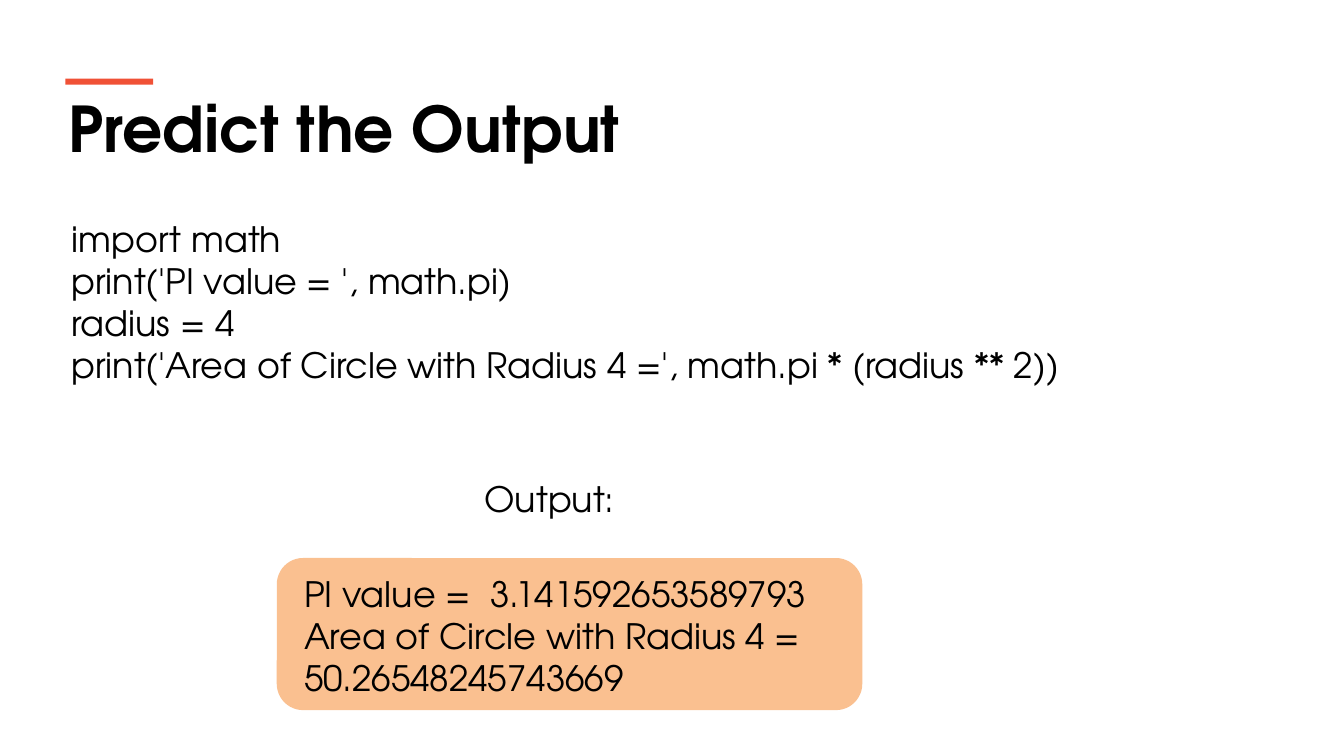
from pptx import Presentation
from pptx.dml.color import RGBColor
from pptx.enum import shapes
from pptx.util import Pt

FONT = "TeX Gyre Adventor"


def color(hex_value):
    return RGBColor.from_string(hex_value)


def add_text(content, left, top, width, height, size=25, bold=False):
    box = slide.shapes.add_textbox(Pt(left), Pt(top), Pt(width), Pt(height))
    frame = box.text_frame
    frame.word_wrap = True
    frame.text = content
    for paragraph in frame.paragraphs:
        font = paragraph.runs[0].font
        font.name = FONT
        font.size = Pt(size)
        font.bold = bold
        font.color.rgb = color("000000")


presentation = Presentation()
presentation.slide_width = Pt(960)
presentation.slide_height = Pt(540)
slide = presentation.slides.add_slide(presentation.slide_layouts[6])

# Title with accent bar
add_text("Predict the Output", 41.8, 60.5, 877, 62, size=45, bold=True)
accent_bar = slide.shapes.add_shape(
    shapes.MSO_SHAPE.RECTANGLE, Pt(46.8), Pt(56.2), Pt(62.6), Pt(4.3))
accent_bar.shadow.inherit = False
accent_bar.fill.solid()
accent_bar.fill.fore_color.rgb = color("F05136")
accent_bar.line.fill.background()

# Code to read
code_lines = [
    "import math",
    "print('PI value = ', math.pi)",
    "radius = 4",
    "print('Area of Circle with Radius 4 =', math.pi * (radius ** 2))",
]
add_text("\n".join(code_lines), 43.9, 152, 756.7, 128)

# Output heading and panel
add_text("Output:", 339.1, 337.7, 163.4, 37.4)
output_panel = slide.shapes.add_shape(
    shapes.MSO_SHAPE.ROUNDED_RECTANGLE, Pt(198.7), Pt(399.6), Pt(416.2), Pt(106.6))
output_panel.shadow.inherit = False
output_panel.fill.solid()
output_panel.fill.fore_color.rgb = color("FAC090")
output_panel.line.color.rgb = color("FAC090")
output_panel.line.width = Pt(2)

# Output values
output_lines = [
    "PI value =  3.141592653589793",
    "Area of Circle with Radius 4 = 50.26548245743669",
]
add_text("\n".join(output_lines), 210.2, 405.4, 427.7, 97.9)

presentation.save("out.pptx")
